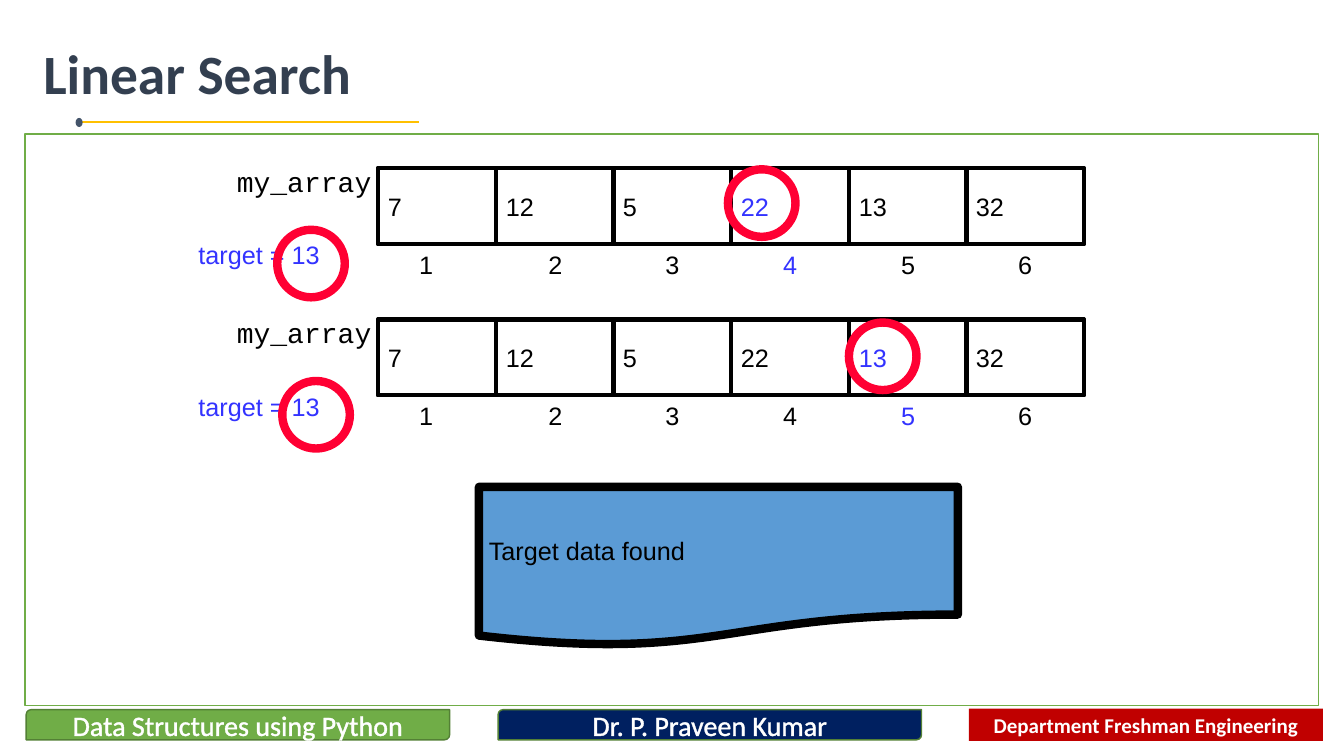
from lxml import etree
from pptx import Presentation
from pptx import util as u
from pptx.dml.color import RGBColor
from pptx.enum import shapes, text
from pptx.oxml import ns

# Content
TITLE = "Linear Search"
NAME, GOAL, FOUND = "my_array", "target = 13", "Target data found"
VALUES = [7, 12, 5, 22, 13, 32]
# row top, index of the tested cell, then left and top of each ring
STEPS = [
    (167, 3, [(275, 228), (722, 168)]),
    (317, 4, [(280, 378), (842, 320)]),
]
# label, box, fill, size, bold
FOOTER = [
    ("Department Freshman Engineering", (961, 703, 351, 32), "red", 15, True),
    ("Data Structures using Python", (26, 704, 420, 30), "green", 20, False),
    ("Dr. P. Praveen Kumar", (494, 704, 420, 30), "navy", 20, False),
]
COLORS = {
    "red": "C00000", "green": "70AD47", "navy": "002060", "edge": "538035",
    "white": "FFFFFF", "title": "333F50", "gold": "FFC000", "slate": "44546A",
    "black": "000000", "blue": "3333FF", "ring": "FF0033", "sky": "5B9BD5",
}
LEFT, WIDTH, HIGH = 375, 700, 75
RING = 67

PX = 9144  # 100 px to the inch
KIND = shapes.MSO_SHAPE
ALIGN = text.PP_ALIGN


def color(name):
    return RGBColor.from_string(COLORS[name])


def scale(box):
    return [u.Emu(n * PX) for n in box]


def write(shape, words, size, font, hue, bold=False, align=ALIGN.LEFT):
    frame = shape.text_frame
    frame.text = words
    para = frame.paragraphs[0]
    para.alignment = align
    run = para.runs[0]
    run.font.size, run.font.name, run.font.bold = u.Pt(size), font, bold
    run.font.color.rgb = color(hue)
    return run


def draw(kind, box, fill=None, line=None, weight=1):
    shape = slide.shapes.add_shape(kind, *scale(box))
    shape.shadow.inherit = False
    if fill:
        shape.fill.solid()
        shape.fill.fore_color.rgb = color(fill)
    else:
        shape.fill.background()
    if line:
        shape.line.color.rgb = color(line)
        shape.line.width = u.Pt(weight)
    else:
        shape.line.fill.background()
    return shape


def label(words, box, size=18, font="Arial", hue="black"):
    shape = slide.shapes.add_textbox(*scale(box))
    write(shape, words, size, font, hue)
    shape.text_frame.word_wrap = False
    shape.text_frame.auto_size = text.MSO_AUTO_SIZE.SHAPE_TO_FIT_TEXT


def fill_box(shape, words, hue="black"):
    write(shape, words, 18, "Arial", hue)
    shape.text_frame.word_wrap = False
    shape.text_frame.vertical_anchor = text.MSO_ANCHOR.MIDDLE


deck = Presentation()
deck.slide_width, deck.slide_height = u.Inches(13.33), u.Inches(7.5)
slide = deck.slides.add_slide(deck.slide_layouts[5])

# Title
title = slide.shapes.title
title.left, title.top, title.width, title.height = scale((33, 42, 417, 67))
write(title, TITLE, 39.6, "Calibri", "title", True)
title.text_frame.auto_size = text.MSO_AUTO_SIZE.NONE
title.text_frame.vertical_anchor = text.MSO_ANCHOR.MIDDLE
title.text_frame.paragraphs[0].line_spacing = 0.9

# Footer bars
for words, box, fill, size, bold in FOOTER:
    kind = KIND.RECTANGLE if bold else KIND.ROUND_2_DIAG_RECTANGLE
    bar = draw(kind, box, fill, None if bold else "edge")
    run = write(bar, words, size, "Calibri", "white", bold, ALIGN.CENTER)
    bar.text_frame.vertical_anchor = text.MSO_ANCHOR.MIDDLE
    if not bold:  # thin white outline on the letters
        edge = etree.Element(ns.qn("a:ln"), w=str(u.Pt(1.45)))
        paint = etree.SubElement(edge, ns.qn("a:solidFill"))
        etree.SubElement(paint, ns.qn("a:srgbClr"), val=COLORS["white"])
        run.font._element.insert(0, edge)

# Rule under the title, and frame
rule = slide.shapes.add_connector(
    shapes.MSO_CONNECTOR.STRAIGHT, *scale((79, 121, 416, 121)))
rule.line.color.rgb = color("gold")
rule.line.width = u.Pt(1)
etree.SubElement(rule._element.spPr, ns.qn("a:effectLst"))
draw(KIND.OVAL, (75, 117, 7, 9), "slate")
draw(KIND.RECTANGLE, (25, 133, 1283, 567), None, "green")

# Search steps
step = WIDTH / len(VALUES)
for top, hit, rings in STEPS:
    draw(KIND.RECTANGLE, (LEFT, top, WIDTH, HIGH), None, "black", 3)
    label(NAME, (225, top - 9, 155, 44), 20, "Courier New")
    for i, value in enumerate(VALUES):
        hue = "blue" if i == hit else "black"
        x = round(LEFT + i * step)
        cell = draw(KIND.RECTANGLE, (x, top, round(step), HIGH),
                    None, "black", 3)
        fill_box(cell, str(value), hue)
        gap = 42 if i else 31
        label(str(i + 1), (x + gap, top + HIGH, 34, 40), hue=hue)
    label(GOAL, (187, top + 66, 141, 40), hue="blue")
    for x, y in rings:
        draw(KIND.OVAL, (x, y, RING, RING), None, "ring", 6)

# Result
note = draw(KIND.FLOWCHART_DOCUMENT, (475, 483, 475, 158), "sky", "black", 6)
fill_box(note, FOUND)

deck.save("out.pptx")
